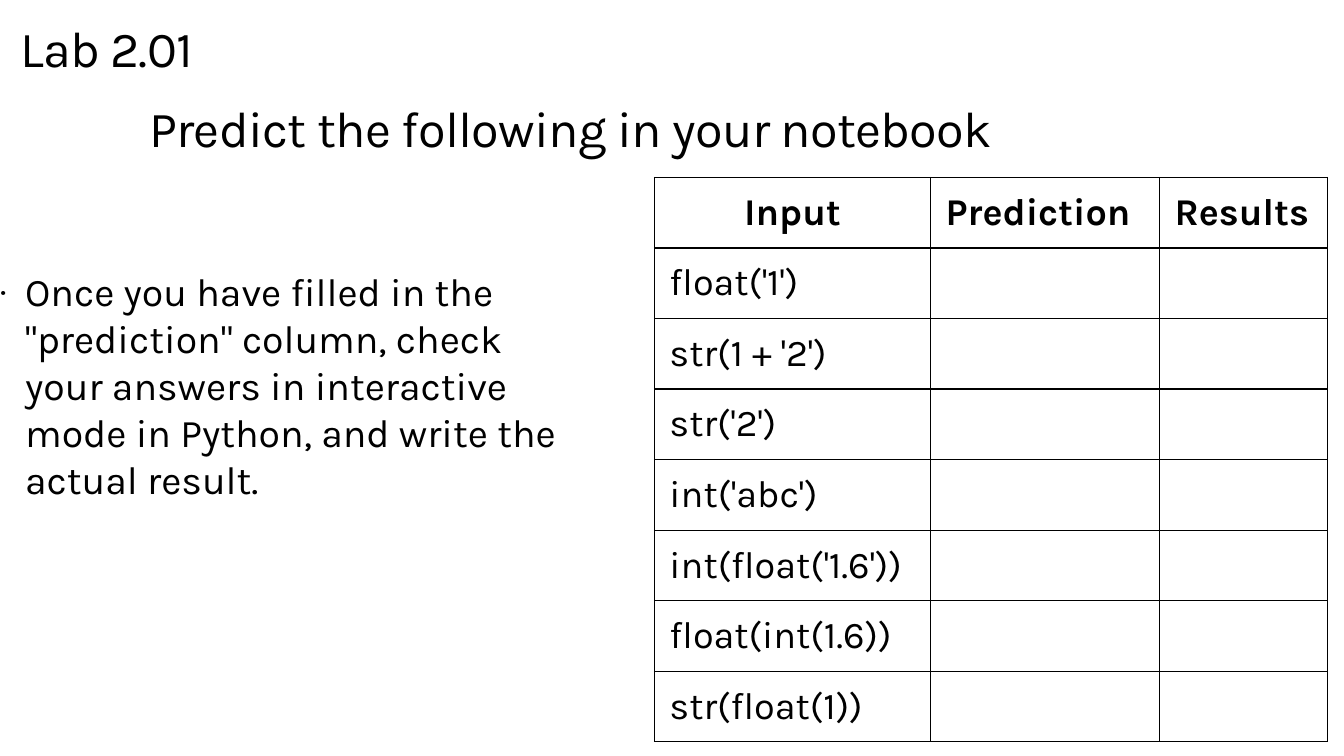
from dataclasses import dataclass
from typing import Any

from pptx import Presentation
from pptx import util as u
from pptx.dml import color
from pptx.enum import text
from pptx.oxml import ns, xmlchemy


@dataclass(frozen=True)
class Theme:
    font: str = "Karla"
    ink: color.RGBColor = color.RGBColor(0, 0, 0)
    paper: color.RGBColor = color.RGBColor(255, 255, 255)
    head: int = 36
    body: int = 28
    cell: int = 27
    rule: float = 1


@dataclass(frozen=True)
class Block:
    words: str
    box: tuple[float, float, float, float]
    size: int
    track: int = 0


@dataclass(frozen=True)
class Col:
    name: str
    width: float
    align: text.PP_ALIGN = text.PP_ALIGN.LEFT


LOOK = Theme()
LAB = Block("Lab 2.01", (0.2, 0.17, 12.05, 0.61), LOOK.head, -50)
TITLE = Block("Predict the following in your notebook", (1.48, 0.96, 12.05, 0.61), LOOK.head, -50)
TASK = Block(
    'Once you have filled in the "prediction" column, check your answers '
    "in interactive mode in Python, and write the actual result.",
    (0, 2.65, 5.82, 2.74), LOOK.body,
)
COLS = [Col("Input", 2.74, text.PP_ALIGN.CENTER), Col("Prediction", 2.27), Col("Results", 1.67)]
CALLS = ["float('1')", "str(1 + '2')", "str('2')", "int('abc')",
         "int(float('1.6'))", "float(int(1.6))", "str(float(1))"]
LEFT, TOP, ROW = 6.49, 1.76, 0.7
FRAME = {"margin_left": 0, "margin_top": 0, "margin_right": 0, "margin_bottom": 0,
         "word_wrap": True, "auto_size": text.MSO_AUTO_SIZE.NONE,
         "vertical_anchor": text.MSO_ANCHOR.TOP}
CELL = {"margin_left": u.Inches(0.15), "margin_right": u.Inches(0.15),
        "margin_top": u.Inches(0.08), "margin_bottom": u.Inches(0.08),
        "vertical_anchor": text.MSO_ANCHOR.MIDDLE}


def put(item: Any, form: dict[str, Any]) -> None:
    for key, val in form.items():
        setattr(item, key, val)


def add(host: Any, tag: str, **vals: str) -> Any:
    node = xmlchemy.OxmlElement(tag)
    for key, val in vals.items():
        node.set(key, val)
    host.append(node)
    return node


def write(para: Any, words: str, size: int, bold: bool = False,
          align: text.PP_ALIGN = text.PP_ALIGN.LEFT) -> Any:
    para.alignment = align
    run = para.add_run()
    run.text = words
    put(run.font, {"name": LOOK.font, "size": u.Pt(size), "bold": bold})
    run.font.color.rgb = LOOK.ink
    return run


def place(shape: Any, block: Block) -> Any:
    put(shape, dict(zip(("left", "top", "width", "height"), map(u.Inches, block.box))))
    put(shape.text_frame, FRAME)
    para = shape.text_frame.paragraphs[0]
    run = write(para, block.words, block.size)
    if block.track:
        run.font._element.set("spc", str(block.track))
    return para


def bullet(para: Any) -> None:
    props = para._p.get_or_add_pPr()
    inch = u.Inches(0.25)
    put(props, {})
    props.set("marL", str(inch))
    props.set("indent", str(-inch))
    space = add(props, "a:spcBef")
    add(space, "a:spcPct", val="20000")
    add(props, "a:buSzPct", val="90000")
    add(props, "a:buFont", typeface=LOOK.font)
    add(props, "a:buChar", char="·")


def border(cell: Any) -> None:
    props = cell._tc.get_or_add_tcPr()
    for spot, side in enumerate(("L", "R", "T", "B")):
        line = xmlchemy.OxmlElement(f"a:ln{side}")
        line.set("w", str(u.Pt(LOOK.rule)))
        fill = add(line, "a:solidFill")
        add(fill, "a:srgbClr", val=str(LOOK.ink))
        props.insert(spot, line)


def grid(slide: Any) -> None:
    rows = [[col.name for col in COLS]] + [[call, "", ""] for call in CALLS]
    wide = sum(col.width for col in COLS)
    box = map(u.Inches, (LEFT, TOP, wide, ROW * len(rows)))
    table = slide.shapes.add_table(len(rows), len(COLS), *box).table
    put(table, {"first_row": False, "horz_banding": False})
    for col, form in zip(table.columns, COLS):
        col.width = u.Inches(form.width)
    for r, row in enumerate(rows):
        table.rows[r].height = u.Inches(ROW)
        for c, words in enumerate(row):
            cell = table.cell(r, c)
            put(cell, CELL)
            cell.fill.solid()
            cell.fill.fore_color.rgb = LOOK.paper
            border(cell)
            if words:
                align = COLS[c].align if r == 0 else text.PP_ALIGN.LEFT
                write(cell.text_frame.paragraphs[0], words, LOOK.cell, r == 0, align)


def main() -> None:
    deck = Presentation()
    put(deck, {"slide_width": u.Inches(13.33), "slide_height": u.Inches(7.5)})
    slide = deck.slides.add_slide(deck.slide_layouts[1])
    place(slide.shapes.title, TITLE)
    bullet(place(slide.placeholders[1], TASK))
    grid(slide)
    place(slide.shapes.add_textbox(0, 0, 0, 0), LAB)
    deck.save("out.pptx")


if __name__ == "__main__":
    main()
